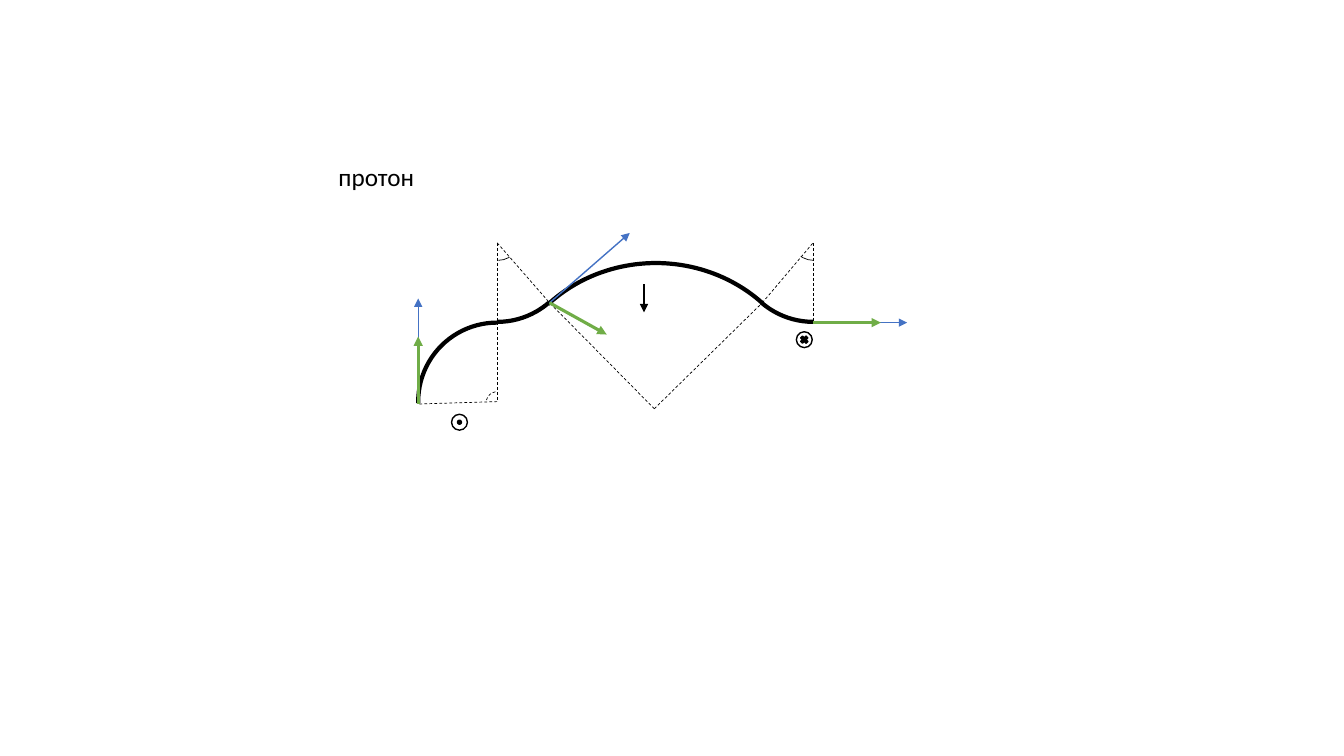
from collections import namedtuple

from lxml.etree import SubElement
from pptx import Presentation
from pptx.dml.color import RGBColor
from pptx.enum.dml import MSO_LINE
from pptx.enum.shapes import MSO_CONNECTOR, MSO_SHAPE
from pptx.enum.text import MSO_AUTO_SIZE
from pptx.oxml.ns import qn
from pptx.util import Cm, Pt

BLACK = RGBColor(0, 0, 0)
WHITE = RGBColor(255, 255, 255)
BLUE = RGBColor(0x44, 0x72, 0xC4)
GREEN = RGBColor(0x70, 0xAD, 0x47)

Box = namedtuple("Box", "left top width height")  # centimetres


def add_line(slide, box, start, end, color=BLACK, width=0.5, arrow=False):
    """Draw a dashed line, or a solid one with an arrowhead at its end."""
    line = slide.shapes.add_connector(
        MSO_CONNECTOR.STRAIGHT,
        Cm(box.left + start[0]), Cm(box.top + start[1]),
        Cm(box.left + end[0]), Cm(box.top + end[1]))
    line.line.color.rgb = color
    line.line.width = Pt(width)
    properties = line._element.spPr
    if arrow:
        SubElement(properties.find(qn("a:ln")), qn("a:tailEnd"), type="triangle")
    else:
        line.line.dash_style = MSO_LINE.DASH
    SubElement(properties, qn("a:effectLst"))


def add_centred(slide, box, preset, centre, rx, ry, width, fill=None):
    shape = slide.shapes.add_shape(
        preset, Cm(box.left + centre[0] - rx), Cm(box.top + centre[1] - ry),
        Cm(2 * rx), Cm(2 * ry))
    shape.shadow.inherit = False
    if fill is None:
        shape.fill.background()
    else:
        shape.fill.solid()
        shape.fill.fore_color.rgb = fill
    shape.line.color.rgb = BLACK
    shape.line.width = Pt(width)
    return shape


def add_arc(slide, box, centre, rx, ry, first, last, width, rotation=0):
    """Draw an arc between two angles given in degrees."""
    arc = add_centred(slide, box, MSO_SHAPE.ARC, centre, rx, ry, width)
    arc.adjustments[0] = first * 0.6
    arc.adjustments[1] = last * 0.6
    arc.rotation = rotation
    return arc


def add_field_sign(slide, box, centre, mark, mark_radius):
    add_centred(slide, box, MSO_SHAPE.OVAL, centre, 0.2, 0.2, 1, WHITE)
    add_centred(slide, box, mark, centre, mark_radius, mark_radius, 1, BLACK)


def draw_trajectory(slide, box):
    radius = 1.99
    launch = (0, 4.06)
    first_centre, second_centre = (radius, 4), (radius, 0)
    joint = (radius, 2)
    entry, departure = (3.31, 1.51), (8.67, 1.51)
    big_centre, last_centre = (5.95, 4.18), (9.95, 0)
    finish = (9.95, 2.01)

    # Radii to the centres of curvature
    for start, end in [
            (joint, first_centre), (first_centre, launch),
            (second_centre, joint), (second_centre, entry),
            (big_centre, entry), (big_centre, departure),
            (departure, last_centre), (last_centre, finish)]:
        add_line(slide, box, start, end)

    # Path of the particle
    add_arc(slide, box, first_centre, radius, radius, 178.9, 269.9, 3)
    add_arc(slide, box, second_centre, radius, radius, 229.2, 270, 3, 180)
    add_arc(slide, box, (5.99, 4.1), 3.86, 3.59, 223.3, 316, 3)
    add_arc(slide, box, last_centre, radius, radius, 269.8, 310.9, 3, 180)

    # Angle marks
    right_angle = add_arc(slide, box, (2.01, 4.04), 0.3, 0.3, 195, 265.2, 0.5)
    right_angle.line.dash_style = MSO_LINE.DASH
    for x, first, last in [(2.01, 235.3, 269.1), (9.96, 270.5, 308.6)]:
        add_arc(slide, box, (x, -0.06), 0.53, 0.5, first, last, 0.5, 180)

    # Velocity (blue) and second vector (green) at each point
    for point, blue_tip, green_tip in [
            (launch, (0, 1.4), (0, 2.36)),
            (entry, (5.33, -0.25), (4.75, 2.31)),
            (finish, (12.32, 2.01), (11.66, 2.01))]:
        add_line(slide, box, point, blue_tip, BLUE, 1, arrow=True)
        add_line(slide, box, point, green_tip, GREEN, 2.25, arrow=True)

    # Downward field
    add_line(slide, box, (5.69, 1.04), (5.69, 1.75), BLACK, 1.5, arrow=True)

    # Fields out of and into the page
    add_field_sign(slide, box, (1.04, 4.52), MSO_SHAPE.OVAL, 0.05)
    add_field_sign(slide, box, (9.73, 2.44), MSO_SHAPE.MATH_MULTIPLY, 0.13)


def add_particle_label(slide, box):
    label = slide.shapes.add_textbox(
        Cm(box.left), Cm(box.top), Cm(box.width), Cm(box.height))
    frame = label.text_frame
    frame.word_wrap = False
    frame.auto_size = MSO_AUTO_SIZE.SHAPE_TO_FIT_TEXT
    run = frame.paragraphs[0].add_run()
    run.text = "протон"
    run.font.name = "Calibri"
    run.font.size = Pt(18)
    run.font.color.rgb = BLACK


def main():
    deck = Presentation()
    deck.slide_width, deck.slide_height = Cm(33.87), Cm(19.05)
    slide = deck.slides.add_slide(deck.slide_layouts[6])
    draw_trajectory(slide, Box(10.54, 6.12, 12.32, 4.72))
    add_particle_label(slide, Box(8.28, 3.94, 2.44, 1.02))
    deck.save("out.pptx")


if __name__ == "__main__":
    main()
